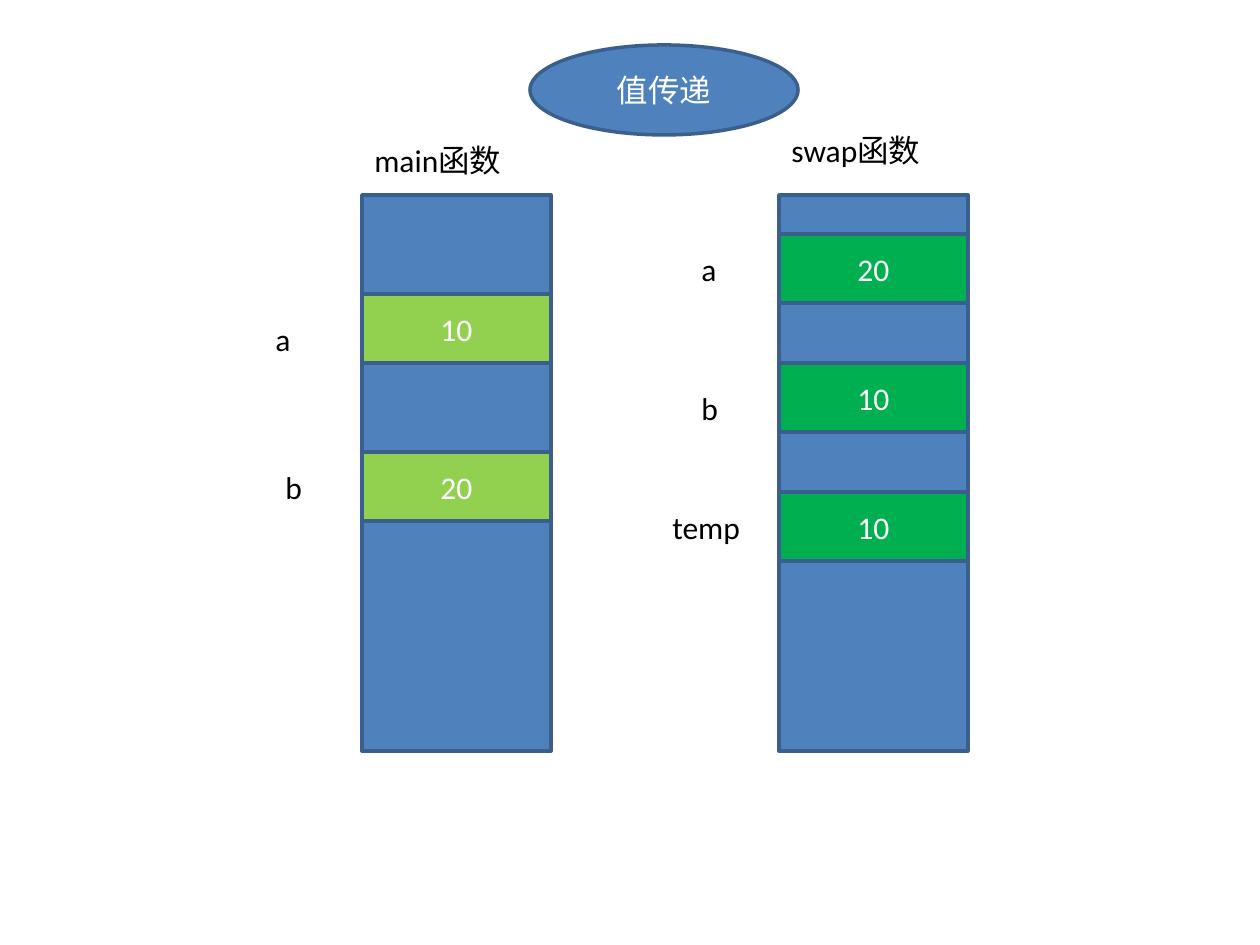
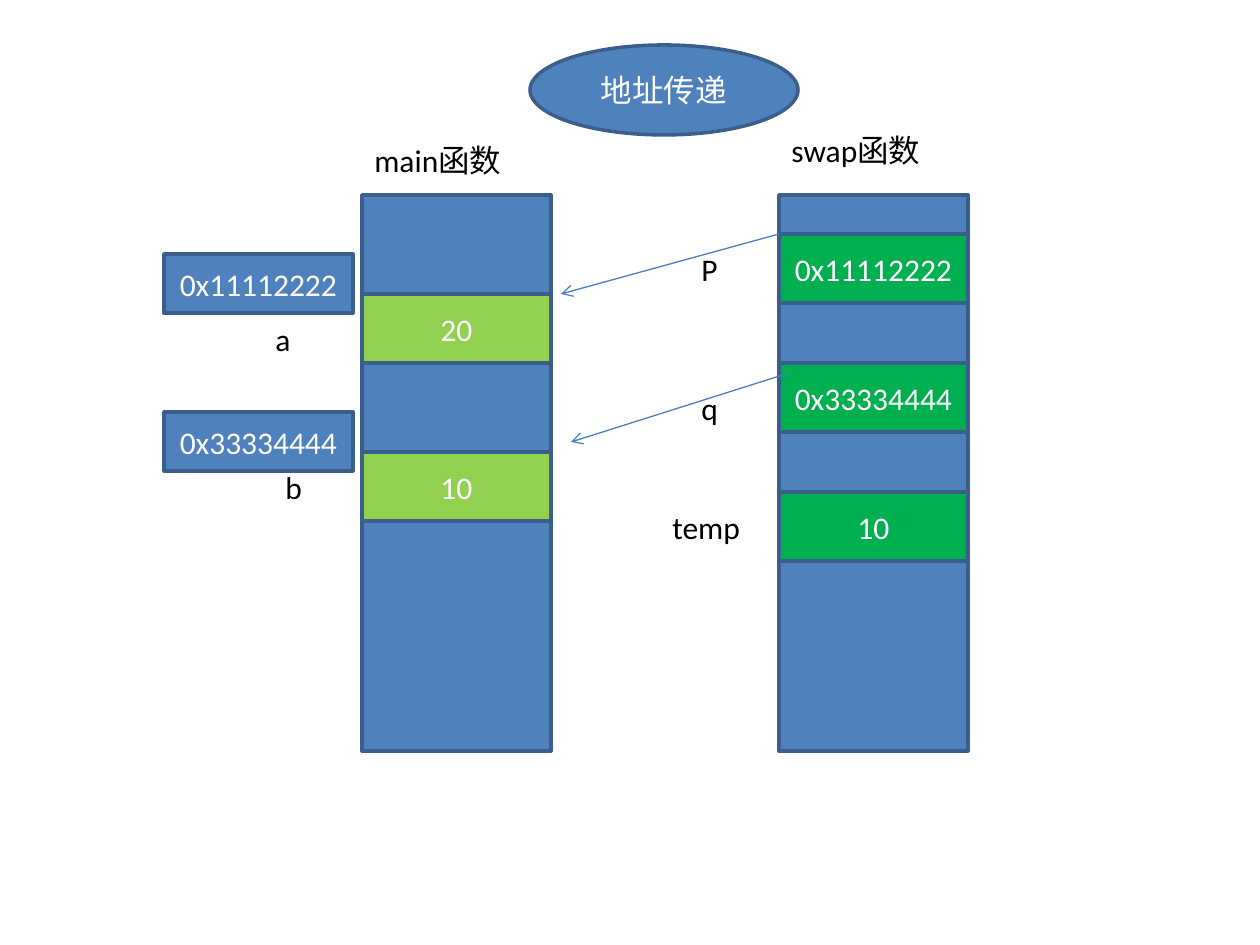
from dataclasses import dataclass

import lxml.etree
import pptx
import pptx.dml.color
import pptx.enum.shapes
import pptx.enum.text
import pptx.oxml.ns
import pptx.util

COLORS = {
    "blue": "4F81BD", "edge": "3A5F8C", "lime": "92D050", "green": "00B050",
    "arrow": "4B7EBC", "white": "FFFFFF", "black": "000000",
}
RECT = pptx.enum.shapes.MSO_SHAPE.RECTANGLE
OVAL = pptx.enum.shapes.MSO_SHAPE.OVAL
MIDDLE = pptx.enum.text.MSO_ANCHOR.MIDDLE
CENTER = pptx.enum.text.PP_ALIGN.CENTER
FIT = pptx.enum.text.MSO_AUTO_SIZE.SHAPE_TO_FIT_TEXT
FONT = {"name": "Calibri", "size": pptx.util.Pt(18)}

# Lengths in pixels, 126 to the inch
STACK_TOP, STACK_W, STACK_H = 195, 189, 556
MAIN_X, SWAP_X = 362, 779
CELL_H, LABEL_W, LABEL_H = 69, 59, 50
ADDRESS_X, ADDRESS_RISE, ADDRESS_H = 164, 40, 59


@dataclass
class Cell:
    """A variable in a stack; its name is placed relative to the cell top."""
    y: int
    name_x: int
    name_drop: int
    name_w: int = LABEL_W


@dataclass
class Stack:
    title: str
    x: int
    title_y: int
    color: str
    cells: list[Cell]


@dataclass
class Scene:
    title: str
    names: list[list[str]]
    values: list[list[str]]
    addresses: list[str]
    arrows: list[tuple[int, int, int, int]]


STACKS = [
    Stack("main函数", MAIN_X, 135, "lime", [Cell(294, 263, 20), Cell(452, 273, 10)]),
    Stack("swap函数", SWAP_X, 125, "green",
          [Cell(234, 689, 10), Cell(363, 689, 20), Cell(492, 660, 10, 100)]),
]
ADDRESSES = ["0x11112222", "0x33334444"]
SCENES = [
    Scene("值传递", [["a", "b"], ["a", "b", "temp"]],
          [["10", "20"], ["20", "10", "10"]], [], []),
    Scene("地址传递", [["a", "b"], ["P", "q", "temp"]],
          [["20", "10"], [*ADDRESSES, "10"]], ADDRESSES,
          [(779, 234, 561, 294), (789, 373, 571, 442)]),
]


def px(n: float) -> int:
    return round(n * 914400 / 126)


def rgb(name: str) -> pptx.dml.color.RGBColor:
    return pptx.dml.color.RGBColor.from_string(COLORS[name])


def write(tf, text: str, color: str) -> None:
    r = tf.paragraphs[0].add_run()
    r.text = text
    for key, value in FONT.items():
        setattr(r.font, key, value)
    r.font.color.rgb = rgb(color)


def add_box(s, kind, x: int, y: int, w: int, h: int, color: str, text: str = "") -> None:
    sp = s.shapes.add_shape(kind, px(x), px(y), px(w), px(h))
    sp.shadow.inherit = False
    sp.fill.solid()
    sp.fill.fore_color.rgb = rgb(color)
    sp.line.color.rgb = rgb("edge")
    sp.line.width = pptx.util.Pt(2)
    if text:
        tf = sp.text_frame
        tf.word_wrap = True
        tf.vertical_anchor = MIDDLE
        tf.paragraphs[0].alignment = CENTER
        write(tf, text, "white")


def add_label(s, text: str, x: int, y: int, w: int) -> None:
    tf = s.shapes.add_textbox(px(x), px(y), px(w), px(LABEL_H)).text_frame
    tf.word_wrap = True
    tf.auto_size = FIT
    write(tf, text, "black")


def add_arrow(s, x1: int, y1: int, x2: int, y2: int) -> None:
    line = s.shapes.add_connector(pptx.enum.shapes.MSO_CONNECTOR.STRAIGHT,
                                  px(x1), px(y1), px(x2), px(y2))
    line.line.color.rgb = rgb("arrow")
    line.line.width = pptx.util.Pt(0.75)
    qn = pptx.oxml.ns.qn
    lxml.etree.SubElement(line.line._get_or_add_ln(), qn("a:tailEnd"), type="arrow")
    lxml.etree.SubElement(line._element.spPr, qn("a:effectLst"))


def add_scene(prs, scene: Scene) -> None:
    s = prs.slides.add_slide(prs.slide_layouts[6])
    # Stacks with their variables
    for stack, names, values in zip(STACKS, scene.names, scene.values):
        add_box(s, RECT, stack.x, STACK_TOP, STACK_W, STACK_H, "blue")
        add_label(s, stack.title, stack.x, stack.title_y, 179)
        for cell, name, value in zip(stack.cells, names, values):
            add_box(s, RECT, stack.x, cell.y, STACK_W, CELL_H, stack.color, value)
            add_label(s, name, cell.name_x, cell.y + cell.name_drop, cell.name_w)
    # Title
    add_box(s, OVAL, 530, 45, 268, 90, "blue", scene.title)
    # Addresses of the main variables and pointers to them
    for cell, address in zip(STACKS[0].cells, scene.addresses):
        add_box(s, RECT, ADDRESS_X, cell.y - ADDRESS_RISE, STACK_W, ADDRESS_H,
                "blue", address)
    for arrow in scene.arrows:
        add_arrow(s, *arrow)


prs = pptx.Presentation()
prs.slide_width, prs.slide_height = px(1260), px(945)
for scene in SCENES:
    add_scene(prs, scene)
prs.save("out.pptx")
